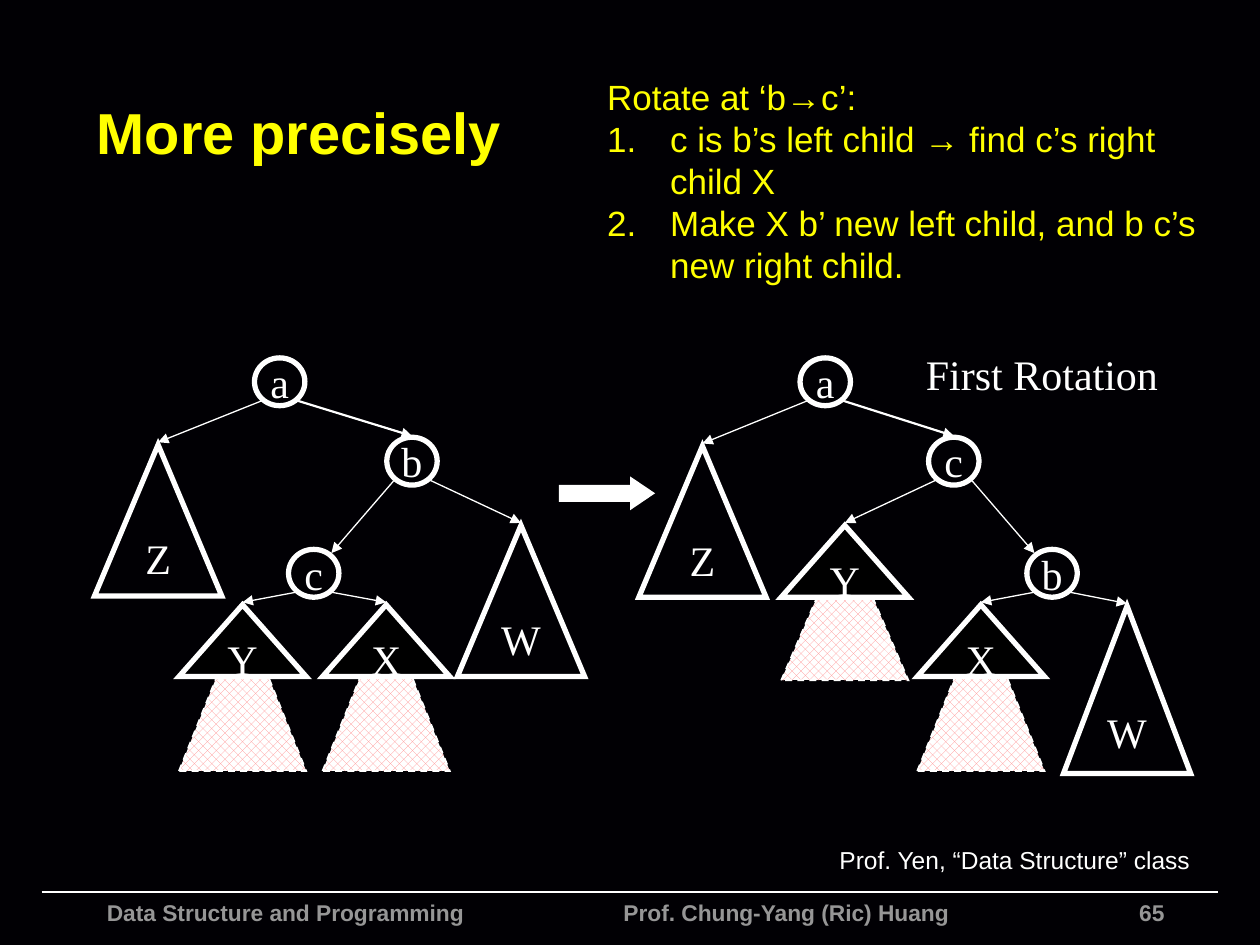
from lxml import etree
from pptx import Presentation
from pptx.dml.color import RGBColor
from pptx.enum.dml import MSO_LINE, MSO_PATTERN
from pptx.enum.shapes import MSO_CONNECTOR, MSO_SHAPE
from pptx.enum.text import MSO_ANCHOR, PP_ALIGN
from pptx.oxml.ns import qn
from pptx.util import Inches, Pt

BACKGROUND = RGBColor(0x01, 0x00, 0x04)
BLACK = RGBColor(0x00, 0x00, 0x00)
WHITE = RGBColor(0xFF, 0xFF, 0xFF)
YELLOW = RGBColor(0xFF, 0xFF, 0x00)
GRAY = RGBColor(0x96, 0x96, 0x96)
PINK = RGBColor(0xFF, 0x91, 0x91)
ELLIPSE, TRIANGLE = MSO_SHAPE.OVAL, MSO_SHAPE.ISOSCELES_TRIANGLE
LEFT, CENTER, RIGHT = PP_ALIGN.LEFT, PP_ALIGN.CENTER, PP_ALIGN.RIGHT
TOP, MIDDLE = MSO_ANCHOR.TOP, MSO_ANCHOR.MIDDLE
SANS, SERIF = "Arial", "Times New Roman"

NODE_WIDTH, NODE_HEIGHT = 0.4, 0.38
SUBTREE_WIDTH = 1.01
CAP_HEIGHT, HATCH_OFFSET = 0.57, 0.06
CORNER = 0.06

TREES = [
    {
        "nodes": {"a": (2.02, 2.84), "b": (3.07, 3.47), "c": (2.29, 4.36)},
        "subtrees": {"Z": (0.75, 3.53, 1.2), "W": (3.63, 4.17, 1.2)},
        "hatched": {"X": (2.56, 4.8, 1.26), "Y": (1.42, 4.8, 1.26)},
        "children": {"a": "Zb", "b": "cW", "c": "YX"},
    },
    {
        "nodes": {"a": (6.35, 2.84), "c": (7.37, 3.47), "b": (8.15, 4.36)},
        "subtrees": {"Z": (5.07, 3.54, 1.2), "W": (8.44, 4.81, 1.33)},
        "hatched": {"X": (7.28, 4.8, 1.26), "Y": (6.2, 4.17, 1.17)},
        "children": {"a": "Zc", "c": "Yb", "b": "XW"},
    },
]
STEPS = [
    "c is b’s left child → find c’s right child X",
    "Make X b’ new left child, and b c’s new right child.",
]
TEXTS = [
    ((6.17, 7.08, 3.17, 0.18), ["65"], 13, SANS, GRAY, True, RIGHT, TOP, True),
    ((0.75, 7.08, 7.24, 0.42),
     ["Data Structure and Programming\tProf. Chung-Yang (Ric) Huang"],
     13, SANS, GRAY, True, LEFT, TOP, True),
    ((0.67, 0.42, 8.5, 1.25), ["More precisely"], 33, SANS, YELLOW, True, LEFT, MIDDLE, True),
    ((7.25, 2.72, 2.04, 0.5), ["First Rotation"], 24, SERIF, WHITE, False, RIGHT, TOP, False),
    ((6.61, 6.66, 2.89, 0.33), ["Prof. Yen, “Data Structure” class"],
     14, SANS, WHITE, False, CENTER, TOP, False, 0),
    ((4.72, 0.55, 4.88, 1.78), ["Rotate at ‘b→c’:"] + STEPS,
     20, SANS, YELLOW, False, LEFT, TOP, True),
]


def write(shape, lines, size, font, color, bold, align, anchor, wrap, side_margin=0.1):
    frame = shape.text_frame
    frame.word_wrap = wrap
    frame.vertical_anchor = anchor
    frame.margin_left = frame.margin_right = Inches(side_margin)
    for index, line in enumerate(lines):
        paragraph = frame.add_paragraph() if index else frame.paragraphs[0]
        paragraph.text = line
        paragraph.alignment = align
        paragraph.font.size = Pt(size)
        paragraph.font.name = font
        paragraph.font.bold = bold
        paragraph.font.color.rgb = color
        properties = paragraph._p.get_or_add_pPr()
        if line in STEPS:
            properties.set("marL", str(Inches(0.5)))
            properties.set("indent", str(Inches(-0.5)))
            bullet = etree.Element(qn("a:buAutoNum"), type="arabicPeriod")
            properties.insert(0, bullet)
        if "\t" in line:
            tabs = etree.Element(qn("a:tabLst"))
            etree.SubElement(tabs, qn("a:tab"), pos=str(Inches(4.1)), algn="l")
            properties.insert(0, tabs)


def add_line(shapes, start, end, width, arrow=True):
    connector = shapes.add_connector(
        MSO_CONNECTOR.STRAIGHT, *[Inches(value) for value in (*start, *end)])
    connector.line.color.rgb = WHITE
    connector.line.width = Pt(width)
    if arrow:
        etree.SubElement(connector.line._get_or_add_ln(), qn("a:tailEnd"), type="triangle")
    etree.SubElement(connector._element.spPr, qn("a:effectLst"))


def add_outline(shapes, kind, box, label="", fill=None, width=3):
    shape = shapes.add_shape(kind, *[Inches(value) for value in box])
    shape.shadow.inherit = False
    shape.line.color.rgb = WHITE
    shape.line.width = Pt(width)
    etree.SubElement(shape.line._get_or_add_ln(), qn("a:miter"), lim="800000")
    if fill is None:
        shape.fill.background()
    else:
        shape.fill.solid()
        shape.fill.fore_color.rgb = fill
    if label:
        write(shape, [label], 24, SERIF, WHITE, False, CENTER, MIDDLE, False)
    return shape


def add_hatch(shapes, box):
    hatch = add_outline(shapes, TRIANGLE, box, width=1)
    hatch.line.dash_style = MSO_LINE.DASH
    hatch.fill.patterned()
    hatch.fill.pattern = MSO_PATTERN.PERCENT_50
    hatch.fill.fore_color.rgb = PINK
    hatch.fill.back_color.rgb = WHITE


def add_edge(shapes, tree, parent, child, side):
    nodes = tree["nodes"]
    corners = (CORNER, NODE_WIDTH - CORNER)
    left, top = nodes[parent]
    start = (left + corners[side], top + 0.34)
    width = 0.75
    if child not in nodes:
        left, top = {**tree["subtrees"], **tree["hatched"]}[child][:2]
        end = (left + SUBTREE_WIDTH / 2, top - 0.02)
    elif parent == "a":
        left, top = nodes[child]
        end = (left + NODE_WIDTH / 2, top - 0.01)
        width = 1.25
    else:
        left, top = nodes[child]
        end = (left + corners[1 - side], top + 0.03)
    add_line(shapes, start, end, width)


def add_tree(slide, tree):
    shapes = slide.shapes.add_group_shape().shapes
    for parent, children in tree["children"].items():
        for side, child in enumerate(children):
            add_edge(shapes, tree, parent, child, side)
    for label, (left, top) in tree["nodes"].items():
        add_outline(shapes, ELLIPSE, (left, top, NODE_WIDTH, NODE_HEIGHT), label)
    for label, (left, top, height) in tree["subtrees"].items():
        add_outline(shapes, TRIANGLE, (left, top, SUBTREE_WIDTH, height), label)
    for label, (left, top, height) in tree["hatched"].items():
        add_hatch(shapes, (left, top + HATCH_OFFSET, SUBTREE_WIDTH, height))
        add_outline(shapes, TRIANGLE, (left, top, SUBTREE_WIDTH, CAP_HEIGHT), label, BLACK)


def main():
    presentation = Presentation()
    presentation.slide_width, presentation.slide_height = Inches(10), Inches(7.5)
    slide = presentation.slides.add_slide(presentation.slide_layouts[6])
    slide.background.fill.solid()
    slide.background.fill.fore_color.rgb = BACKGROUND
    add_line(slide.shapes, (0.33, 7.08), (9.67, 7.08), 1, arrow=False)
    arrow = add_outline(
        slide.shapes, MSO_SHAPE.RIGHT_ARROW, (4.44, 3.79, 0.75, 0.25), fill=WHITE, width=0.75)
    arrow.adjustments[1] = 0.74
    for tree in TREES:
        add_tree(slide, tree)
    for box, *style in TEXTS:
        write(slide.shapes.add_textbox(*[Inches(value) for value in box]), *style)
    presentation.save("out.pptx")


if __name__ == "__main__":
    main()
